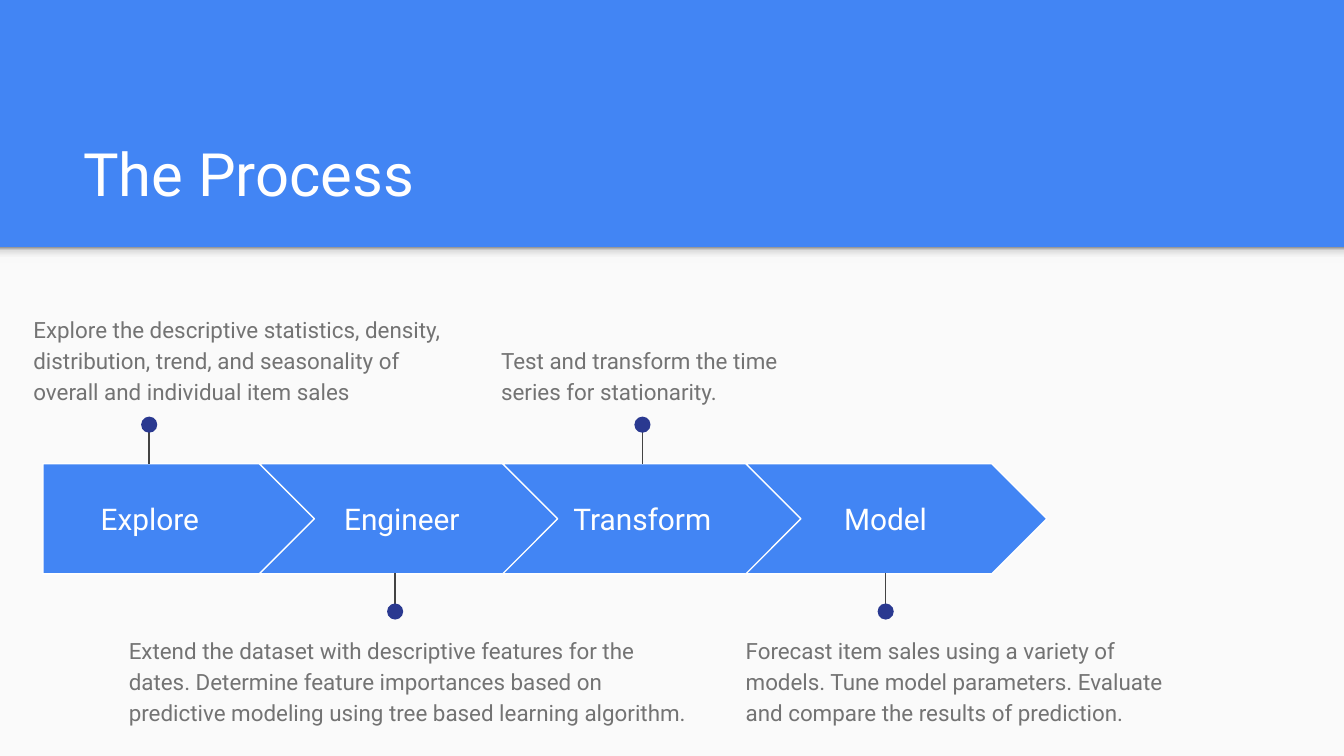
from lxml.etree import SubElement
from pptx import Presentation
from pptx.dml.color import RGBColor
from pptx.enum.shapes import MSO_CONNECTOR, MSO_SHAPE
from pptx.enum.text import MSO_ANCHOR, PP_ALIGN
from pptx.oxml import parse_xml
from pptx.oxml.ns import nsdecls, qn
from pptx.util import Inches, Pt

COLORS = {
    "blue": "4285F4",
    "white": "FFFFFF",
    "paper": "FAFAFA",
    "gray": "737373",
    "line": "434343",
    "navy": "2A3990",
}
SHADE = [(0, "F9F9F9"), (36, "F9F9F9"), (80, "DEDEDE"), (100, "999999")]
WIDE, HIGH = 10, 10 * 9 / 16
HEAD = 1.84
TOP, TALL = 3.45, 0.82
STEPS = [
    {"name": "Explore", "arrow": (0.32, 2.05), "label": (0.32, 1.59),
     "pin": 1.11, "up": True, "note": (0.15, 2.22, 3.31, 0.65),
     "text": "Explore the descriptive statistics, density, distribution, "
             "trend, and seasonality of overall and individual item sales"},
    {"name": "Engineer", "arrow": (1.93, 2.24), "label": (2.27, 1.44),
     "pin": 2.94, "up": False, "note": (0.86, 4.61, 4.39, 1.01),
     "text": "Extend the dataset with descriptive features for the dates. "
             "Determine feature importances based on predictive modeling "
             "using tree based learning algorithm."},
    {"name": "Transform", "arrow": (3.74, 2.24), "label": (4.06, 1.44),
     "pin": 4.78, "up": True, "note": (3.63, 2.45, 2.31, 0.65),
     "text": "Test and transform the time series for stationarity."},
    {"name": "Model", "arrow": (5.55, 2.24), "label": (5.87, 1.44),
     "pin": 6.59, "up": False, "note": (5.45, 4.61, 3.43, 0.65),
     "text": "Forecast item sales using a variety of models. Tune model "
             "parameters. Evaluate and compare the results of prediction."},
]


def rgb(name):
    """Return the named colour."""
    return RGBColor.from_string(COLORS[name])


def add_form(shapes, kind, box, fill, edge=None):
    """Add a filled preset shape."""
    form = shapes.add_shape(kind, *map(Inches, box))
    form.shadow.inherit = False
    form.fill.solid()
    form.fill.fore_color.rgb = rgb(fill)
    if edge:
        form.line.color.rgb = rgb(edge)
        form.line.width = Pt(0.75)
    else:
        form.line.fill.background()
    return form


def add_text(shapes, text, box, size=12, color="white", align=PP_ALIGN.LEFT,
             anchor=MSO_ANCHOR.TOP, space=1.0, after=0):
    """Add a wrapped text box."""
    frame = shapes.add_textbox(*map(Inches, box)).text_frame
    frame.word_wrap = True
    frame.vertical_anchor = anchor
    frame.margin_left = frame.margin_right = Inches(0.1)
    frame.margin_top = frame.margin_bottom = Inches(0.1)
    para = frame.paragraphs[0]
    para.alignment = align
    para.line_spacing = space
    para.space_after = Pt(after)
    run = para.add_run()
    run.text = text
    run.font.name = "Roboto"
    run.font.size = Pt(size)
    run.font.color.rgb = rgb(color)


def add_shade(shapes):
    """Add the soft strip that fades down from the header."""
    box = (0, HEAD, WIDE, 0.12)
    strip = add_form(shapes, MSO_SHAPE.RECTANGLE, box, "paper")
    stops = "".join(
        f'<a:gs pos="{pos * 1000}"><a:srgbClr val="{tone}"/></a:gs>'
        for pos, tone in SHADE)
    grad = parse_xml(
        f'<a:gradFill {nsdecls("a")}><a:gsLst>{stops}</a:gsLst>'
        '<a:lin ang="16200000" scaled="0"/></a:gradFill>')
    props = strip.element.spPr
    props.replace(props.find(qn("a:solidFill")), grad)


def add_pin(shapes, mid, up):
    """Add a dot on a stem above or below the arrows."""
    start, end, dot = (3.12, TOP, 3.1) if up else (4.59, 4.26, 4.49)
    group = shapes.add_group_shape().shapes
    stem = group.add_connector(
        MSO_CONNECTOR.STRAIGHT, *map(Inches, (mid, start, mid, end)))
    stem.line.color.rgb = rgb("line")
    stem.line.width = Pt(0.75)
    SubElement(stem.element.spPr, qn("a:effectLst"))
    add_form(group, MSO_SHAPE.OVAL, (mid - 0.06, dot, 0.12, 0.12), "navy")


def add_step(shapes, step, kind):
    """Add one arrow with its label, pin and note."""
    left, width = step["arrow"]
    arrow = add_form(shapes, kind, (left, TOP, width, TALL), "blue", "white")
    arrow.adjustments[0] = 0.5
    left, width = step["label"]
    add_text(shapes, step["name"], (left, 3.6, width, 0.51), size=16,
             align=PP_ALIGN.CENTER, anchor=MSO_ANCHOR.MIDDLE)
    add_pin(shapes, step["pin"], step["up"])
    add_text(shapes, step["text"], step["note"], color="gray", space=1.15,
             after=16)


def main():
    """Build and save the slide."""
    deck = Presentation()
    deck.slide_width, deck.slide_height = Inches(WIDE), Inches(HIGH)
    slide = deck.slides.add_slide(deck.slide_layouts[6])
    slide.background.fill.solid()
    slide.background.fill.fore_color.rgb = rgb("blue")
    shapes = slide.shapes
    page = (0, HEAD, WIDE, HIGH - HEAD)
    add_form(shapes, MSO_SHAPE.RECTANGLE, page, "paper")
    add_shade(shapes)
    add_text(shapes, "The Process", (0.52, 0.81, 8.99, 0.84), size=32,
             anchor=MSO_ANCHOR.BOTTOM)
    for i, step in enumerate(STEPS):
        add_step(shapes, step, MSO_SHAPE.CHEVRON if i else MSO_SHAPE.PENTAGON)
    deck.save("out.pptx")


if __name__ == "__main__":
    main()
